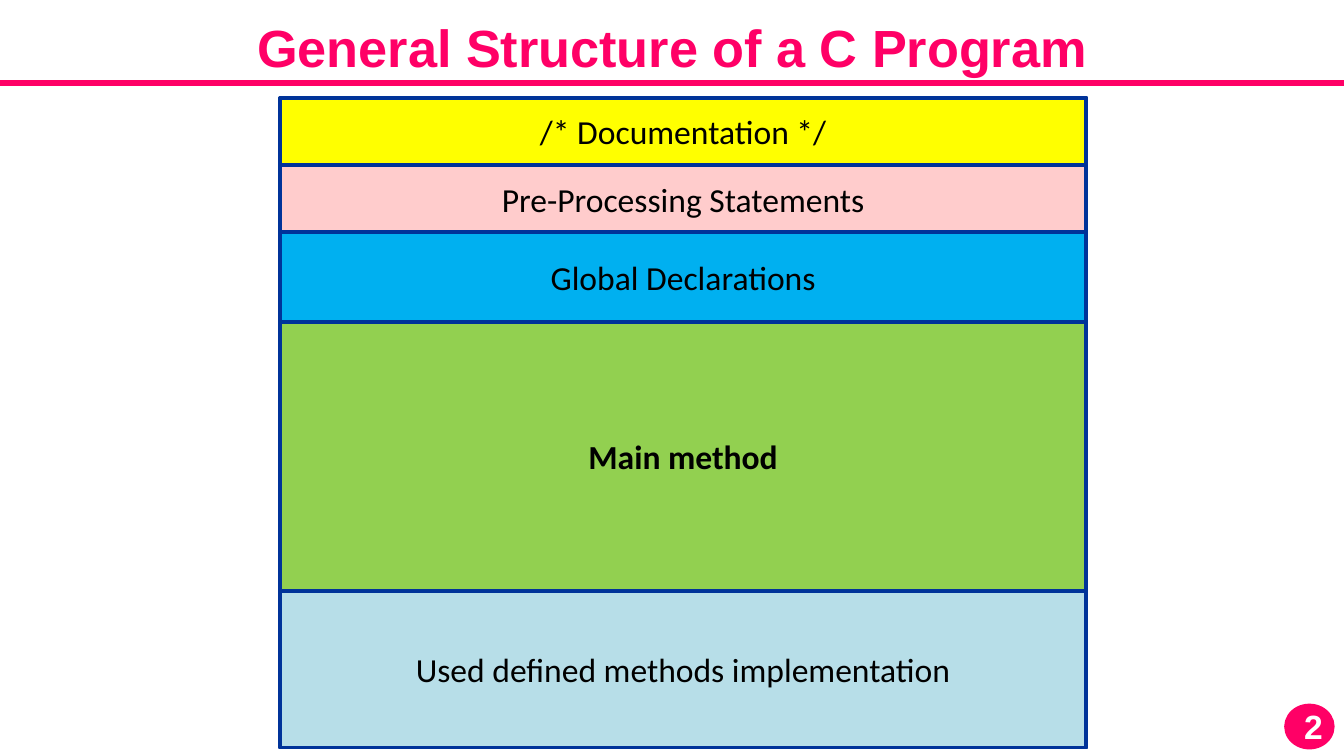
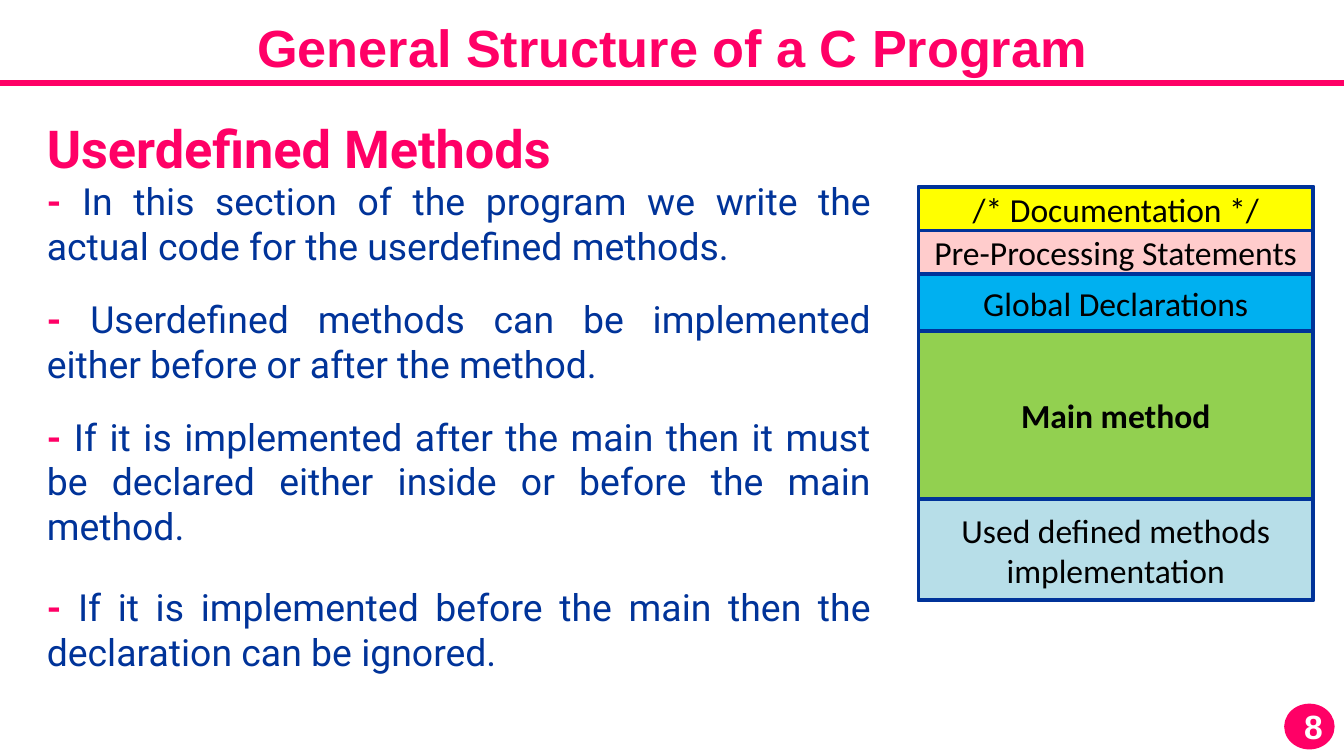
from pptx import Presentation
from pptx.dml.color import RGBColor
from pptx.enum.shapes import MSO_SHAPE
from pptx.enum.text import MSO_ANCHOR, MSO_AUTO_SIZE, PP_ALIGN
from pptx.util import Pt

RECT, OVAL = MSO_SHAPE.RECTANGLE, MSO_SHAPE.OVAL
CENTER, JUSTIFY = PP_ALIGN.CENTER, PP_ALIGN.JUSTIFY
MIDDLE, GROW = MSO_ANCHOR.MIDDLE, MSO_AUTO_SIZE.SHAPE_TO_FIT_TEXT

PINK = RGBColor(0xFF, 0x00, 0x66)
NAVY = RGBColor(0x00, 0x33, 0x99)
BLACK = RGBColor(0x00, 0x00, 0x00)
WHITE = RGBColor(0xFF, 0xFF, 0xFF)
YELLOW = RGBColor(0xFF, 0xFF, 0x00)
ROSE = RGBColor(0xFF, 0xCC, 0xCC)
BLUE = RGBColor(0x00, 0xB0, 0xF0)
GREEN = RGBColor(0x92, 0xD0, 0x50)
PALE = RGBColor(0xB7, 0xDE, 0xE8)

TITLE = {"name": "Arial", "size": Pt(28), "bold": True, "color": PINK}
NUMBER = {"name": "Arial", "size": Pt(18), "bold": True, "color": WHITE}
LABEL = {"name": "Calibri", "size": Pt(18), "bold": False, "color": BLACK}
STRONG = {**LABEL, "bold": True}
HEAD = {"name": "Roboto", "size": Pt(28), "bold": True, "color": PINK}
DASH = {**HEAD, "size": Pt(20)}
BODY = {**DASH, "bold": False, "color": NAVY}

PARTS = [
    ("/* Documentation */", YELLOW, LABEL),
    ("Pre-Processing Statements", ROSE, LABEL),
    ("Global Declarations", BLUE, LABEL),
    ("Main method", GREEN, STRONG),
    ("Used defined methods implementation", PALE, LABEL),
]

# Each point: space before in points, text
POINTS = [
    (0, "In this section of the program we write the actual code "
        "for the userdefined methods."),
    (15, "Userdefined methods can be implemented either before or after "
         "the method."),
    (15, "If it is implemented after the main then it must be declared "
         "either inside or before the main method."),
    (19.5, "If it is implemented before the main then the declaration "
           "can be ignored."),
]


class Deck:
    def __init__(self):
        self.prs = Presentation()
        self.prs.slide_width, self.prs.slide_height = Pt(720), Pt(405)
        self.slide = None

    def page(self, number):
        """Start a slide with the shared title, rule and number badge."""
        self.slide = self.prs.slides.add_slide(self.prs.slide_layouts[6])
        title = [(0, [("General Structure of a C Program", TITLE)])]
        self.text((0, 4.5, 720, 41), title)
        self.shape(RECT, (0, 43, 720, 3), PINK)
        self.shape(OVAL, (689, 378, 25, 22.5), PINK, PINK)
        self.text((691.5, 374.5, 21, 29), [(0, [(number, NUMBER)])])

    def shape(self, kind, box, fill=None, line=None):
        item = self.slide.shapes.add_shape(kind, *map(Pt, box))
        item.shadow.inherit = False
        if fill is None:
            item.fill.background()
        else:
            item.fill.solid()
            item.fill.fore_color.rgb = fill
        if line is None:
            item.line.fill.background()
        else:
            item.line.color.rgb = line
            item.line.width = Pt(2)
        return item

    def put(self, frame, paras, align):
        """Fill a frame with (space before, [(text, style), ...]) items."""
        frame.word_wrap = True
        for i, (gap, runs) in enumerate(paras):
            para = frame.add_paragraph() if i else frame.paragraphs[0]
            para.alignment = align
            if gap:
                para.space_before = Pt(gap)
            for text, style in runs:
                run = para.add_run()
                run.text = text
                for key, value in style.items():
                    if key == "color":
                        run.font.color.rgb = value
                    else:
                        setattr(run.font, key, value)

    def text(self, box, paras, align=CENTER):
        frame = self.slide.shapes.add_textbox(*map(Pt, box)).text_frame
        self.put(frame, paras, align)
        frame.auto_size = GROW

    def stack(self, left, top, width, heights):
        """Draw the program parts as bands below each other in a frame."""
        self.shape(RECT, (left, top, width, sum(heights)), line=NAVY)
        for (name, fill, style), height in zip(PARTS, heights):
            band = self.shape(RECT, (left, top, width, height), fill, NAVY)
            band.text_frame.vertical_anchor = MIDDLE
            self.put(band.text_frame, [(0, [(name, style)])], CENTER)
            top += height


def main():
    deck = Deck()

    deck.page("2")
    deck.stack(150, 52.5, 432, [36, 36, 48, 144, 84])

    deck.page("8")
    deck.stack(492, 100, 211.5, [23.5, 23.5, 30.5, 90, 54])
    paras = [(0, [("Userdefined Methods", HEAD)])]
    paras += [(gap, [("- ", DASH), (text, BODY)]) for gap, text in POINTS]
    deck.text((18, 58.5, 456, 305), paras, JUSTIFY)

    deck.prs.save("out.pptx")


if __name__ == "__main__":
    main()
